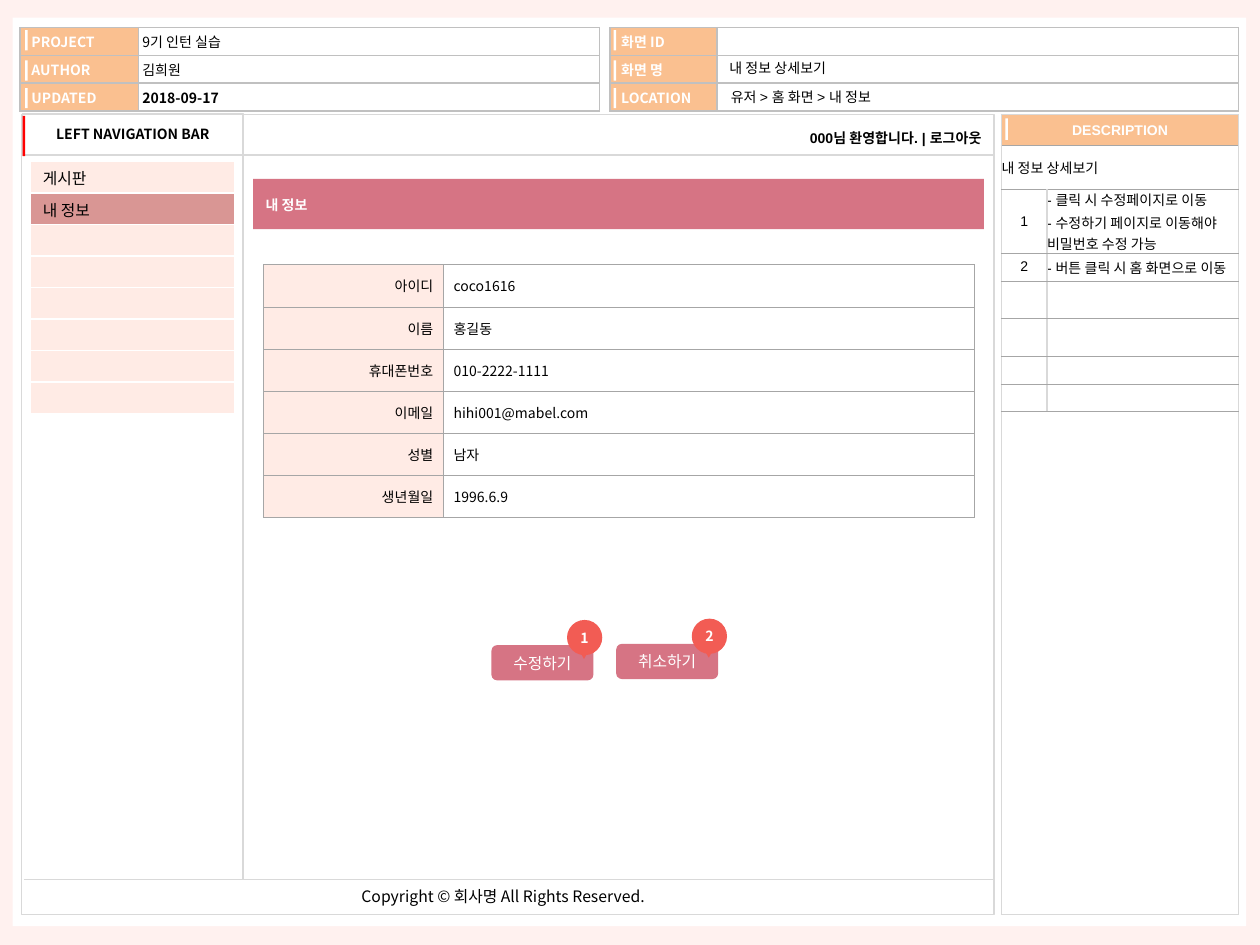
from lxml.etree import SubElement
from pptx import Presentation
from pptx.dml.color import RGBColor
from pptx.enum.shapes import MSO_CONNECTOR, MSO_SHAPE
from pptx.enum.text import MSO_ANCHOR, PP_ALIGN
from pptx.oxml.ns import qn
from pptx.util import Inches, Pt

COLS, ROWS = 1000, 750  # fine grid over the slide
WIDE, HIGH = Inches(10), Inches(7.5)
NOTO, ARIAL = "Noto Sans CJK KR", "Arial"
HEX = {
    "page": "FFF1EF", "white": "FFFFFF", "black": "000000", "peach": "FAC090",
    "blush": "FFEBE5", "active": "D99694", "rose": "D67484", "coral": "F25C54",
    "red": "FF0000", "pale": "D9D9D9", "silver": "C0C0C0", "grey": "A6A6A6",
}
LEFT, MID, RIGHT = PP_ALIGN.LEFT, PP_ALIGN.CENTER, PP_ALIGN.RIGHT


def col(n):
    return round(WIDE * n / COLS)


def row(n):
    return round(HIGH * n / ROWS)


def place(x, y, w, h):
    return col(x), row(y), col(w), row(h)


def rgb(name):
    return RGBColor.from_string(HEX[name])


def paint(fill, name):
    if name:
        fill.solid()
        fill.fore_color.rgb = rgb(name)
    else:
        fill.background()


def write(frame, text, size=8, font=NOTO, ink="black", bold=False, align=LEFT, gap=0):
    """Fill a text frame, one paragraph per line."""
    frame.text = text
    for para in frame.paragraphs:
        para.alignment = align
        para.space_before = Pt(gap)
        for run in para.runs:
            run.font.size, run.font.name, run.font.bold = Pt(size), font, bold
            run.font.color.rgb = rgb(ink)
            SubElement(run.font._element, qn("a:ea"), typeface=NOTO)
        if not para.runs:
            SubElement(para._p, qn("a:endParaRPr"), sz=str(size * 100))


def pad(box, side, top, low=None):
    """Set the inner margins of a frame or cell in grid units."""
    box.margin_left = box.margin_right = col(side)
    box.margin_top = row(top)
    box.margin_bottom = row(top if low is None else low)


def block(shapes, at, fill=None, line=None, kind=MSO_SHAPE.RECTANGLE, text="", side=10, **style):
    shape = shapes.add_shape(kind, *place(*at))
    shape.shadow.inherit = False
    paint(shape.fill, fill)
    paint(shape.line.fill, line)
    if line:
        shape.line.width = Pt(0.75)
    if text:
        frame = shape.text_frame
        frame.word_wrap = True
        frame.vertical_anchor = MSO_ANCHOR.MIDDLE
        pad(frame, side, 0)
        write(frame, text, **style)
    return shape


def label(shapes, at, text, wrap=True, inset=(8, 4), **style):
    frame = shapes.add_textbox(*place(*at)).text_frame
    frame.word_wrap = wrap
    pad(frame, *inset)
    write(frame, text, **style)


def rule(shapes, x1, y1, x2, y2, width=1):
    line = shapes.add_connector(MSO_CONNECTOR.STRAIGHT, col(x1), row(y1), col(x2), row(y2))
    line.line.color.rgb = rgb("pale")
    line.line.width = Pt(width)
    SubElement(line._element.spPr, qn("a:effectLst"))


def edge(cell, lines):
    """Draw cell borders; lines are in the order left, right, top, bottom."""
    props = cell._tc.get_or_add_tcPr()
    for tag, (name, width) in zip(("lnL", "lnR", "lnT", "lnB"), lines):
        ln = SubElement(props, qn("a:" + tag), w=str(Pt(width)))
        SubElement(SubElement(ln, qn("a:solidFill")), qn("a:srgbClr"), val=HEX[name])


def table(shapes, x, y, cols, rows, data, lines, look):
    """look(r, c) gives fill, margins, anchor and text style of a cell."""
    size = place(x, y, sum(cols), sum(rows))
    grid = shapes.add_table(len(rows), len(cols), *size).table
    for part, width in zip(grid.columns, cols):
        part.width = col(width)
    for part, height in zip(grid.rows, rows):
        part.height = row(height)
    for r, texts in enumerate(data):
        for c, text in enumerate(texts):
            cell = grid.cell(r, c)
            fill, inset, anchor, style = look(r, c)
            pad(cell, *inset)
            cell.vertical_anchor = anchor
            write(cell.text_frame, text, **style)
            edge(cell, lines)
            paint(cell.fill, fill)
    return grid


def header(shapes):
    def look(r, c):
        if c == 0:
            return "peach", (9, 0), MSO_ANCHOR.MIDDLE, dict(ink="white", bold=True, gap=1.6)
        return "white", (3, 0), MSO_ANCHOR.MIDDLE, dict(bold=r == 2, gap=1.6)

    lines = [("silver", 1)] * 4
    left = [("PROJECT", "9기 인턴 실습"), ("AUTHOR", "김희원"), ("UPDATED", "2018-09-17")]
    right = [("화면 ID", ""), ("화면 명", ""), ("LOCATION", "")]
    table(shapes, 16, 22, (94, 366), [22] * 3, left, lines, look)
    table(shapes, 484, 22, (85, 414), [22] * 3, right, lines, look)
    for x in (20, 487):
        for y in (24, 48, 70):
            block(shapes, (x, y, 2, 16), "white")
    label(shapes, (572, 66, 290, 20), "유저 > 홈 화면 > 내 정보", font=ARIAL)
    label(shapes, (571, 43, 290, 20), "내 정보 상세보기", font=ARIAL)


def notes(shapes):
    """Description column on the right."""
    def head(r, c):
        style = dict(font=ARIAL, ink="white", bold=True, align=MID, gap=1.6)
        return ("white" if r else "peach"), (3, 0), MSO_ANCHOR.MIDDLE, style

    def look(r, c):
        align = MID if r and c == 0 else LEFT
        return "white", (0, 0), MSO_ANCHOR.MIDDLE, dict(font=ARIAL, align=align, gap=1.6)

    table(shapes, 795, 91, [188], (25, 610), [["DESCRIPTION"], [""]], [("pale", 1)] * 4, head)
    block(shapes, (798, 94, 2, 17), "white")
    data = [
        ("내 정보 상세보기", ""),
        ("1", "- 클릭 시 수정페이지로 이동\n- 수정하기 페이지로 이동해야 비밀번호 수정 가능"),
        ("2", "- 버튼 클릭 시 홈 화면으로 이동"),
    ] + [("", "")] * 4
    lines = [("pale", 1)] * 2 + [("grey", 0.5)] * 2
    grid = table(shapes, 795, 115, (36, 152), (35, 51, 22, 30, 30, 22, 22), data, lines, look)
    grid.cell(0, 0).merge(grid.cell(0, 1))


def frame(shapes):
    """Outline of the screen, its top bar and its footer."""
    block(shapes, (17, 91, 772, 635), line="pale")
    rule(shapes, 19, 698, 789, 698)
    label(shapes, (277, 699, 252, 25), "Copyright © 회사명 All Rights Reserved.",
          wrap=False, inset=(10, 5), size=9)
    rule(shapes, 193, 91, 193, 698)
    block(shapes, (18, 90, 175, 33), line="pale", text="LEFT NAVIGATION BAR", bold=True, align=MID)
    block(shapes, (18, 92, 2, 32), "red")
    rule(shapes, 193, 123, 789, 123)
    label(shapes, (529, 99, 258, 22), "000님 환영합니다. | 로그아웃",
          font=ARIAL, bold=True, align=RIGHT)


def menu(shapes):
    def look(r, c):
        return ("active" if r == 1 else "blush"), (10, 4, 0), MSO_ANCHOR.TOP, dict(size=9)

    data = [["게시판"], ["내 정보"]] + [[""]] * 6
    table(shapes, 24, 128, [162], [25] * 8, data, [("white", 1)] * 4, look)


def profile(shapes):
    def look(r, c):
        style = dict(align=LEFT if c else RIGHT, gap=1.6)
        return (None if c else "blush"), (8, 4), MSO_ANCHOR.MIDDLE, style

    bar = shapes.add_group_shape().shapes
    block(bar, (201, 142, 580, 40), "rose")
    block(bar, (201, 151, 514, 24), "rose", text="내 정보", ink="white", bold=True)
    data = [
        ("아이디", "coco1616"), ("이름", "홍길동"), ("휴대폰번호", "010-2222-1111"),
        ("이메일", "hihi001@mabel.com"), ("성별", "남자"), ("생년월일", "1996.6.9"),
    ]
    table(shapes, 209, 210, (143, 421), [33.5] * 6, data, [("grey", 0.25)] * 4, look)


def button(shapes, x, y, text, mark):
    """Button with a numbered pin on its corner."""
    block(shapes, (x, y, 81, 28), "rose", kind=MSO_SHAPE.ROUNDED_RECTANGLE,
          text=text, size=9, ink="white", align=MID)
    pin = shapes.add_group_shape().shapes
    block(pin, (x + 60, y - 20, 28, 28), "coral", kind=MSO_SHAPE.OVAL,
          text=mark, side=0, ink="white", bold=True, align=MID)
    tip = block(pin, (x + 69, y + 3, 9, 8), "coral", kind=MSO_SHAPE.ISOSCELES_TRIANGLE)
    tip.rotation = 180


def main():
    deck = Presentation()
    deck.slide_width, deck.slide_height = WIDE, HIGH
    slide = deck.slides.add_slide(deck.slide_layouts[6])
    paint(slide.background.fill, "page")
    shapes = slide.shapes
    block(shapes, (10, 14, 979, 721), "white")
    for part in (header, notes, frame, menu, profile):
        part(shapes)
    button(shapes, 390, 512, "수정하기", "1")
    button(shapes, 489, 511, "취소하기", "2")
    deck.save("out.pptx")


main()
